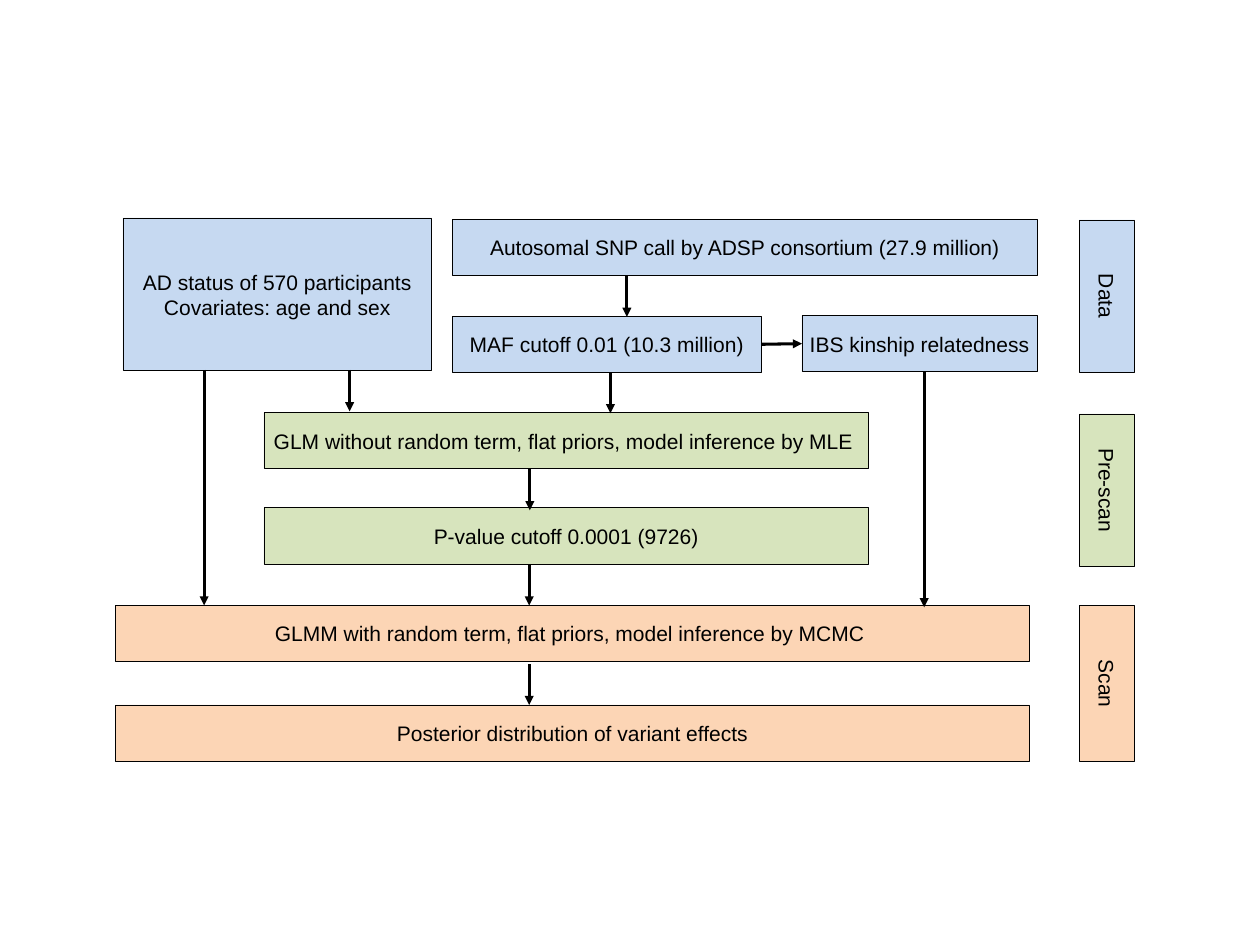
from lxml import etree
from pptx import Presentation
from pptx.dml.color import RGBColor
from pptx.enum import shapes, text
from pptx.oxml import ns
from pptx.util import Inches, Pt

BLUE, GREEN, ORANGE, BLACK = "C6D9F1", "D7E4BD", "FCD5B5", "000000"
ROW_HEIGHT = 0.89
FONT = {"name": "Arial", "size": Pt(24)}

# name: (lines, fill, left, top, width, height)
STEPS = {
    "snp": (["Autosomal SNP call by ADSP consortium (27.9 million)"],
            BLUE, 7.18, 3.48, 9.28, ROW_HEIGHT),
    "maf": (["MAF cutoff 0.01 (10.3 million)"],
            BLUE, 7.18, 5.02, 4.9, ROW_HEIGHT),
    "status": (["AD status of 570 participants", "Covariates: age and sex"],
               BLUE, 1.95, 3.46, 4.9, 2.42),
    "kinship": (["IBS kinship relatedness"],
                BLUE, 12.73, 5.01, 3.73, ROW_HEIGHT),
    "glm": (["GLM without random term, flat priors, model inference by MLE "],
            GREEN, 4.19, 6.55, 9.59, ROW_HEIGHT),
    "cutoff": (["P-value cutoff 0.0001 (9726)"],
               GREEN, 4.19, 8.06, 9.59, ROW_HEIGHT),
    "glmm": (["GLMM with random term, flat priors, model inference by MCMC "],
             ORANGE, 1.83, 9.61, 14.51, ROW_HEIGHT),
    "posterior": (["Posterior distribution of variant effects"],
                  ORANGE, 1.83, 11.19, 14.51, ROW_HEIGHT),
}

# x, top, bottom
DOWN_ARROWS = [
    (9.95, 4.37, 5.03),
    (5.55, 5.87, 6.53),
    (9.69, 5.91, 6.56),
    (8.41, 7.44, 8.1),
    (3.24, 5.87, 9.61),
    (8.4, 8.95, 9.61),
    (14.67, 5.9, 9.64),
    (8.4, 10.54, 11.19),
]

# label, fill, centre y, length
PHASES = [
    ("Data", BLUE, 4.7, 2.42),
    ("Pre-scan", GREEN, 7.78, 2.42),
    ("Scan", ORANGE, 10.85, 2.47),
]
PHASE_X, PHASE_THICKNESS = 17.57, 0.88


def color(value):
    return RGBColor.from_string(value)


def add_box(page, lines, fill, left, top, width, height):
    box = page.shapes.add_shape(shapes.MSO_SHAPE.RECTANGLE,
                                *map(Inches, (left, top, width, height)))
    box.shadow.inherit = False
    box.fill.solid()
    box.fill.fore_color.rgb = color(fill)
    box.line.color.rgb = color(BLACK)
    box.line.width = Pt(0.75)
    frame = box.text_frame
    frame.word_wrap = True
    frame.vertical_anchor = text.MSO_ANCHOR.MIDDLE
    for index, line in enumerate(lines):
        para = frame.add_paragraph() if index else frame.paragraphs[0]
        para.alignment = text.PP_ALIGN.CENTER
        span = para.add_run()
        span.text = line
        for key, value in FONT.items():
            setattr(span.font, key, value)
        span.font.color.rgb = color(BLACK)
    return box


def add_arrow(page, *ends):
    arrow = page.shapes.add_connector(shapes.MSO_CONNECTOR.STRAIGHT,
                                      *map(Inches, ends))
    arrow.line.color.rgb = color(BLACK)
    arrow.line.width = Pt(3.5)
    etree.SubElement(arrow.line._get_or_add_ln(), ns.qn("a:tailEnd"), type="triangle")
    etree.SubElement(arrow._element.spPr, ns.qn("a:effectLst"))
    return arrow


def main():
    deck = Presentation()
    deck.slide_width, deck.slide_height = Inches(20), Inches(15)
    page = deck.slides.add_slide(deck.slide_layouts[6])

    boxes = {name: add_box(page, *step) for name, step in STEPS.items()}

    kinship_arrow = add_arrow(page, 12.08, 5.46, 12.73, 5.46)
    kinship_arrow.begin_connect(boxes["maf"], 3)
    kinship_arrow.end_connect(boxes["kinship"], 1)
    for x, top, bottom in DOWN_ARROWS:
        add_arrow(page, x, top, x, bottom)

    for label, fill, middle, length in PHASES:
        phase = add_box(page, [label], fill, PHASE_X - length / 2,
                        middle - PHASE_THICKNESS / 2, length, PHASE_THICKNESS)
        phase.rotation = 90

    deck.save("out.pptx")


if __name__ == "__main__":
    main()
